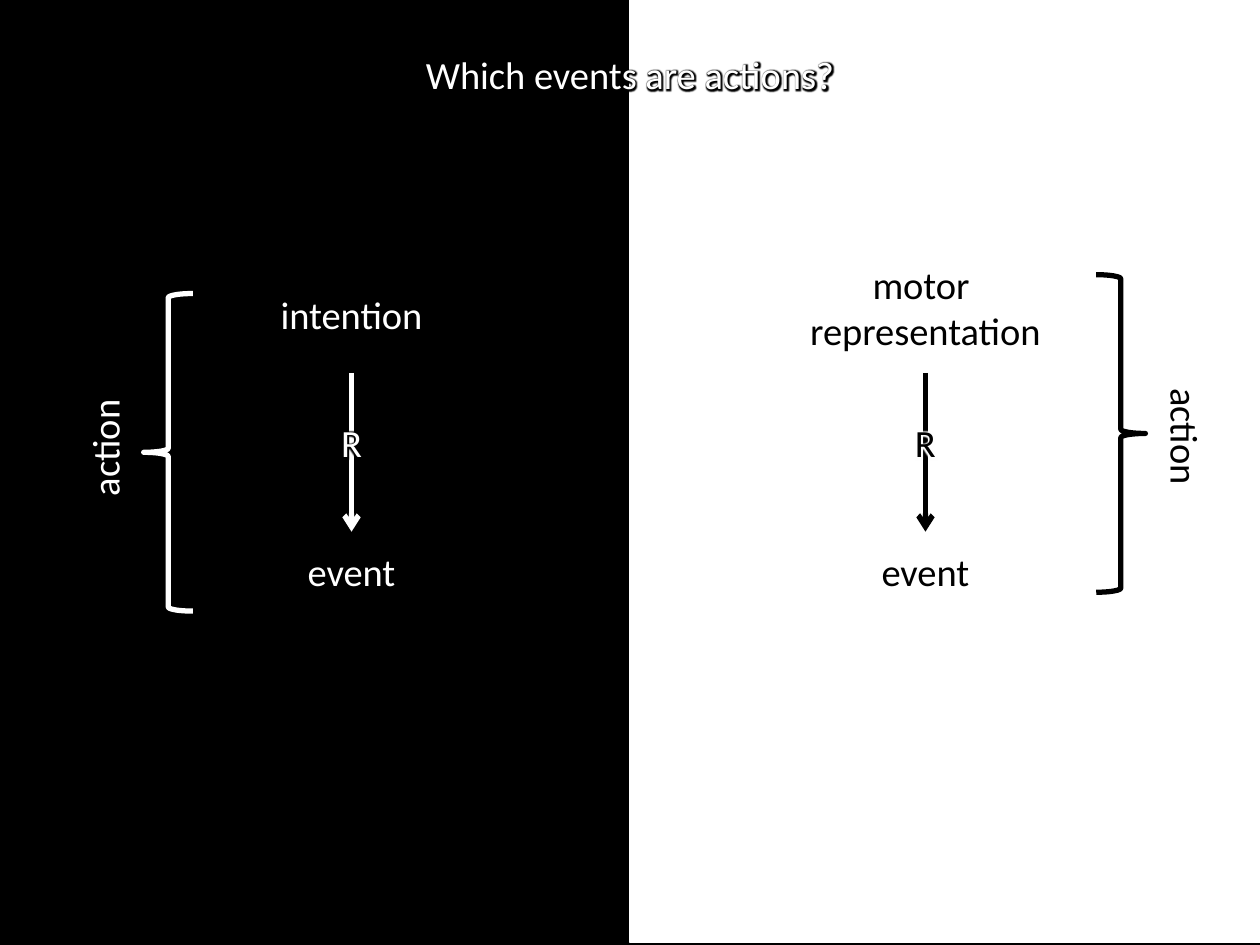
from dataclasses import dataclass

from lxml import etree
from pptx import Presentation
from pptx import util as u
from pptx.dml.color import RGBColor
from pptx.enum import shapes, text
from pptx.oxml.ns import qn


@dataclass(frozen=True)
class Theme:
    dark: str = "000000"
    light: str = "FFFFFF"
    font: str = "Calibri"
    text_size: float = 22
    stroke: float = 3
    edge: float = 0.75
    glow: float = 5
    columns: int = 100
    rows: int = 75


class SlideBuilder:
    def __init__(self, presentation, theme):
        self.theme = theme
        self.column = presentation.slide_width / theme.columns
        self.row = presentation.slide_height / theme.rows
        self.slide = presentation.slides.add_slide(presentation.slide_layouts[6])

    def place(self, left, top, width, height):
        return (round(left * self.column), round(top * self.row),
                round(width * self.column), round(height * self.row))

    def background(self, color):
        fill = self.slide.background.fill
        fill.solid()
        fill.fore_color.rgb = RGBColor.from_string(color)

    def stroke(self, line, color, width):
        line.color.rgb = RGBColor.from_string(color)
        line.width = u.Pt(width)

    def panel(self, box, color):
        shape = self.slide.shapes.add_shape(shapes.MSO_SHAPE.RECTANGLE, *self.place(*box))
        shape.shadow.inherit = False
        shape.fill.solid()
        shape.fill.fore_color.rgb = RGBColor.from_string(color)
        self.stroke(shape.line, color, self.theme.edge)

    def brace(self, box, color, rotation):
        shape = self.slide.shapes.add_shape(shapes.MSO_SHAPE.LEFT_BRACE, *self.place(*box))
        shape.shadow.inherit = False
        shape.fill.background()
        shape.rotation = rotation
        self.stroke(shape.line, color, self.theme.stroke)

    def arrow(self, center, top, bottom, color):
        x, start, _, end = self.place(center, top, 0, bottom)
        connector = self.slide.shapes.add_connector(
            shapes.MSO_CONNECTOR.STRAIGHT, x, start, x, end)
        self.stroke(connector.line, color, self.theme.stroke)
        etree.SubElement(connector.line._get_or_add_ln(), qn("a:tailEnd"), type="arrow")
        etree.SubElement(connector._element.spPr, qn("a:effectLst"))

    def label(self, wording, center, top, width, color, height=4.7, rotation=0, halo=None):
        box = self.place(center - width / 2, top, width, height)
        shape = self.slide.shapes.add_textbox(*box)
        shape.rotation = rotation
        frame = shape.text_frame
        frame.word_wrap = False
        frame.auto_size = text.MSO_AUTO_SIZE.SHAPE_TO_FIT_TEXT
        frame.text = wording
        paragraph = frame.paragraphs[0]
        paragraph.alignment = text.PP_ALIGN.CENTER
        for run in paragraph.runs:
            run.font.name = self.theme.font
            run.font.size = u.Pt(self.theme.text_size)
            run.font.color.rgb = RGBColor.from_string(color)
            if halo:
                self.glow(run, halo)

    def glow(self, run, color):
        effects = etree.Element(qn("a:effectLst"))
        glow = etree.SubElement(effects, qn("a:glow"), rad=str(u.Pt(self.theme.glow)))
        etree.SubElement(glow, qn("a:srgbClr"), val=color)
        run.font._element.find(qn("a:solidFill")).addnext(effects)

    def cause_chain(self, center, color, halo):
        self.label("event", center, 43, 9.6, color)
        self.arrow(center, 29.6, 42.2, color)
        self.label("R", center, 32.8, 3.7, color, halo=halo)


def main():
    theme = Theme()
    presentation = Presentation()
    presentation.slide_width = u.Inches(10)
    presentation.slide_height = u.Inches(7.5)
    builder = SlideBuilder(presentation, theme)
    builder.background(theme.dark)
    builder.panel((50, -0.2, 50, 75), theme.light)

    intention_center, motor_center = 27.9, 73.45
    builder.label("intention", intention_center, 22.6, 14.3, theme.light)
    builder.label("motor \vrepresentation", motor_center, 20.2, 21.7, theme.dark, height=8.4)
    builder.cause_chain(intention_center, theme.light, theme.dark)
    builder.cause_chain(motor_center, theme.dark, theme.light)

    builder.label("action", 8.3, 33.2, 10.4, theme.light, rotation=270)
    builder.brace((11.4, 23.3, 3.9, 25.2), theme.light, 0)
    builder.label("action", 94.1, 32.3, 10.4, theme.dark, rotation=90)
    builder.brace((87, 21.8, 3.9, 25.2), theme.dark, 180)

    builder.label("Which events are actions?", 50, 3.6, 36.3, theme.light, halo=theme.dark)
    presentation.save("out.pptx")


if __name__ == "__main__":
    main()
